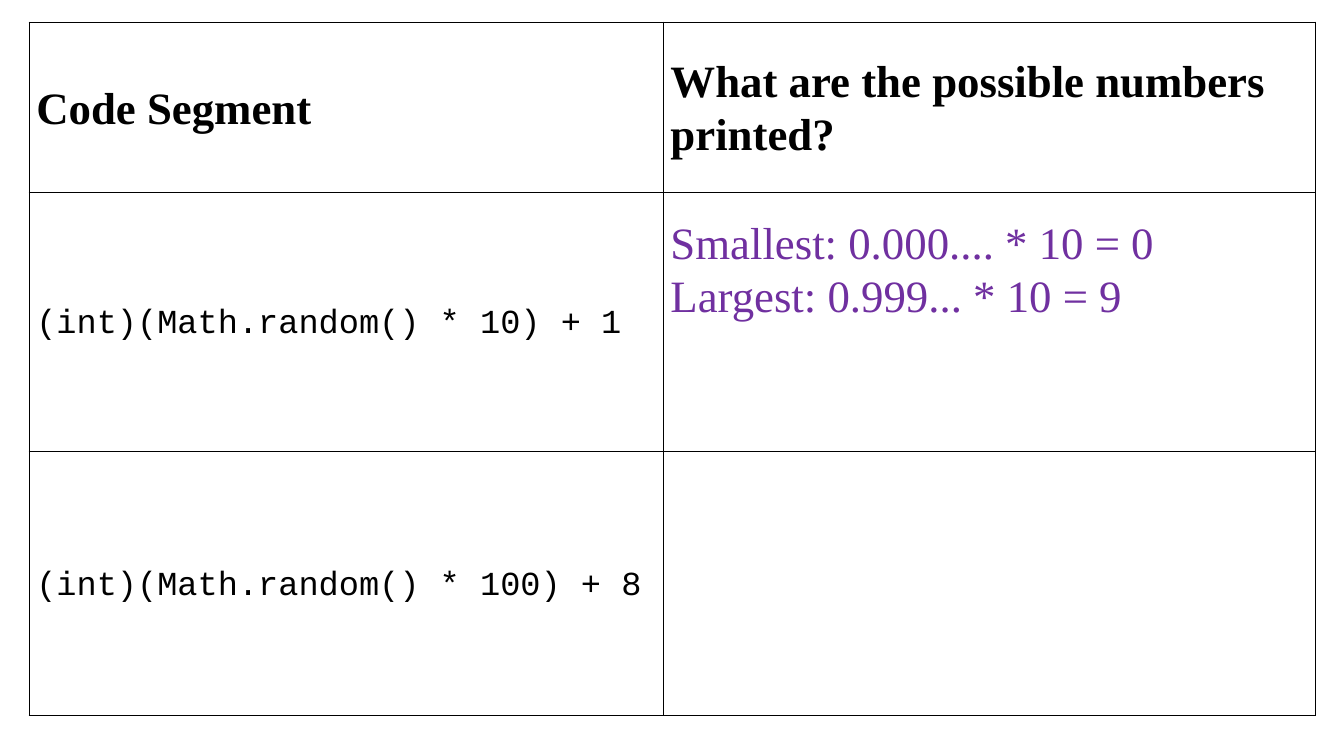
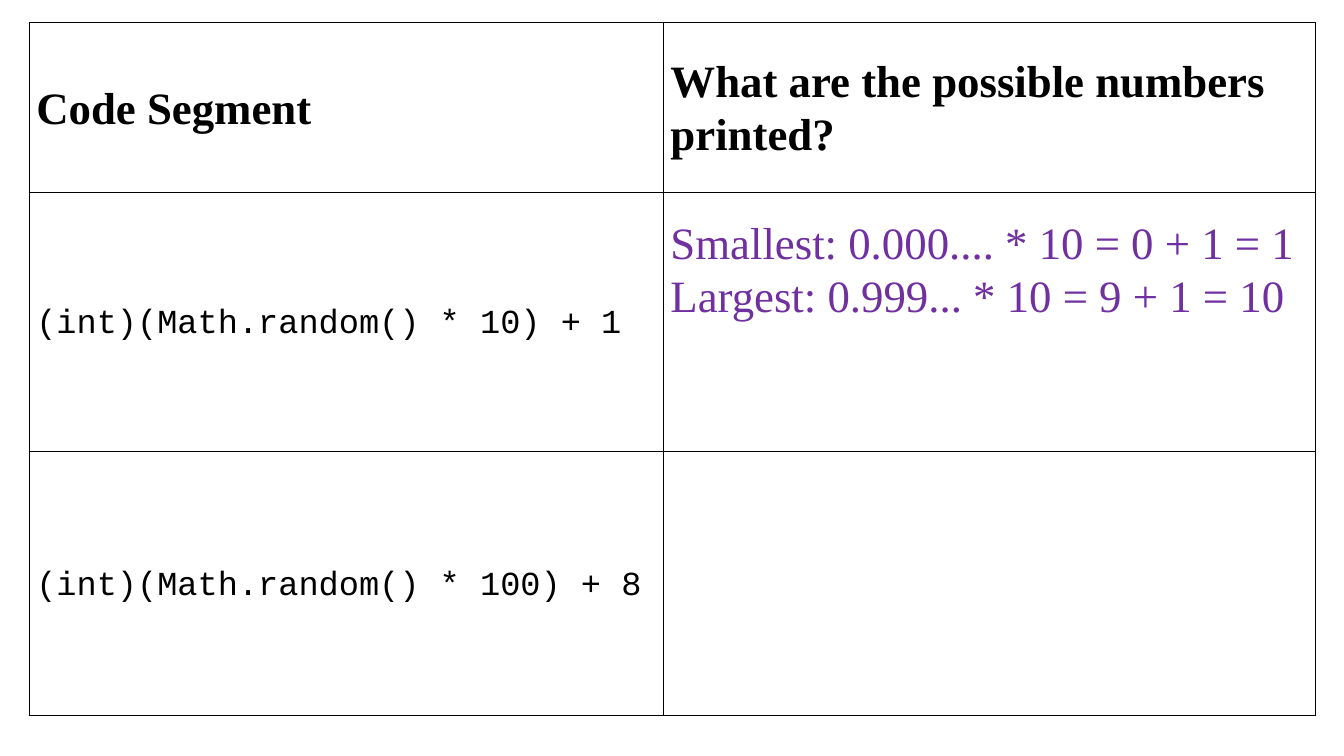
from dataclasses import dataclass

from lxml import etree
from pptx import Presentation
from pptx import util as u
from pptx.dml.color import RGBColor
from pptx.enum import text
from pptx.oxml.ns import qn

PX = 9144


@dataclass(frozen=True)
class TextStyle:
    font: str
    size: int
    color: str
    spacing: float
    bold: bool = False


@dataclass(frozen=True)
class Theme:
    ink: str = "000000"
    accent: str = "7030A0"
    serif: str = "Times New Roman"
    mono: str = "Courier New"
    large: int = 32
    medium: int = 24
    border: int = 1

    @property
    def heading(self):
        return TextStyle(self.serif, self.large, self.ink, 1.07, True)

    @property
    def code(self):
        return TextStyle(self.mono, self.medium, self.ink, 1.15)

    @property
    def answer(self):
        return TextStyle(self.serif, self.large, self.accent, 1.07)


THEME = Theme()
SLIDE_SIZE = (1333, 750)
TABLE_ORIGIN = (29, 22)
COLUMN_WIDTHS = (629, 647)
ROW_HEIGHTS = (169, 257, 262)
SIDE_MARGIN = 7
ANSWER_TOP = 23

HEADINGS = ("Code Segment", "What are the possible numbers printed?")
CODE_SEGMENTS = ("(int)(Math.random() * 10) + 1", "(int)(Math.random() * 100) + 8")
ANSWERS = (
    ("Smallest: 0.000.... * 10 = 0", "Largest: 0.999... * 10 = 9"),
    ("Smallest: 0.000.... * 10 = 0 + 1 = 1", "Largest: 0.999... * 10 = 9 + 1 = 10"),
)


def px(length):
    return u.Emu(length * PX)


def add_borders(cell):
    properties = cell._tc.get_or_add_tcPr()
    for position, side in enumerate(("lnL", "lnR", "lnT", "lnB")):
        line = etree.Element(qn(f"a:{side}"), w=str(u.Pt(THEME.border)))
        fill = etree.SubElement(line, qn("a:solidFill"))
        etree.SubElement(fill, qn("a:srgbClr"), val=THEME.ink)
        properties.insert(position, line)


def format_cell(cell):
    cell.fill.background()
    cell.margin_left = cell.margin_right = px(SIDE_MARGIN)
    cell.margin_top = cell.margin_bottom = 0
    cell.vertical_anchor = text.MSO_ANCHOR.MIDDLE
    add_borders(cell)


def write_lines(cell, lines, style):
    frame = cell.text_frame
    for index, line in enumerate(lines):
        paragraph = frame.add_paragraph() if index else frame.paragraphs[0]
        paragraph.line_spacing = style.spacing
        run = paragraph.add_run()
        run.text = line
        run.font.name = style.font
        run.font.size = u.Pt(style.size)
        run.font.bold = style.bold
        run.font.color.rgb = RGBColor.from_string(style.color)


def add_grid(slide):
    left, top = TABLE_ORIGIN
    grid = slide.shapes.add_table(
        len(ROW_HEIGHTS), len(COLUMN_WIDTHS), px(left), px(top),
        px(sum(COLUMN_WIDTHS)), px(sum(ROW_HEIGHTS)),
    ).table
    grid.first_row = grid.horz_banding = False
    for column, width in zip(grid.columns, COLUMN_WIDTHS):
        column.width = px(width)
    for row, height in zip(grid.rows, ROW_HEIGHTS):
        row.height = px(height)
    for cell in grid.iter_cells():
        format_cell(cell)
    return grid


def add_random_slide(deck, answer_lines):
    grid = add_grid(deck.slides.add_slide(deck.slide_layouts[6]))
    for column, heading in enumerate(HEADINGS):
        write_lines(grid.cell(0, column), [heading], THEME.heading)
    for row, segment in enumerate(CODE_SEGMENTS, start=1):
        write_lines(grid.cell(row, 0), [segment], THEME.code)
    answer = grid.cell(1, 1)
    answer.vertical_anchor = text.MSO_ANCHOR.TOP
    answer.margin_top = px(ANSWER_TOP)
    write_lines(answer, answer_lines, THEME.answer)


def main():
    deck = Presentation()
    deck.slide_width, deck.slide_height = map(px, SLIDE_SIZE)
    for answer_lines in ANSWERS:
        add_random_slide(deck, answer_lines)
    deck.save("out.pptx")


if __name__ == "__main__":
    main()
